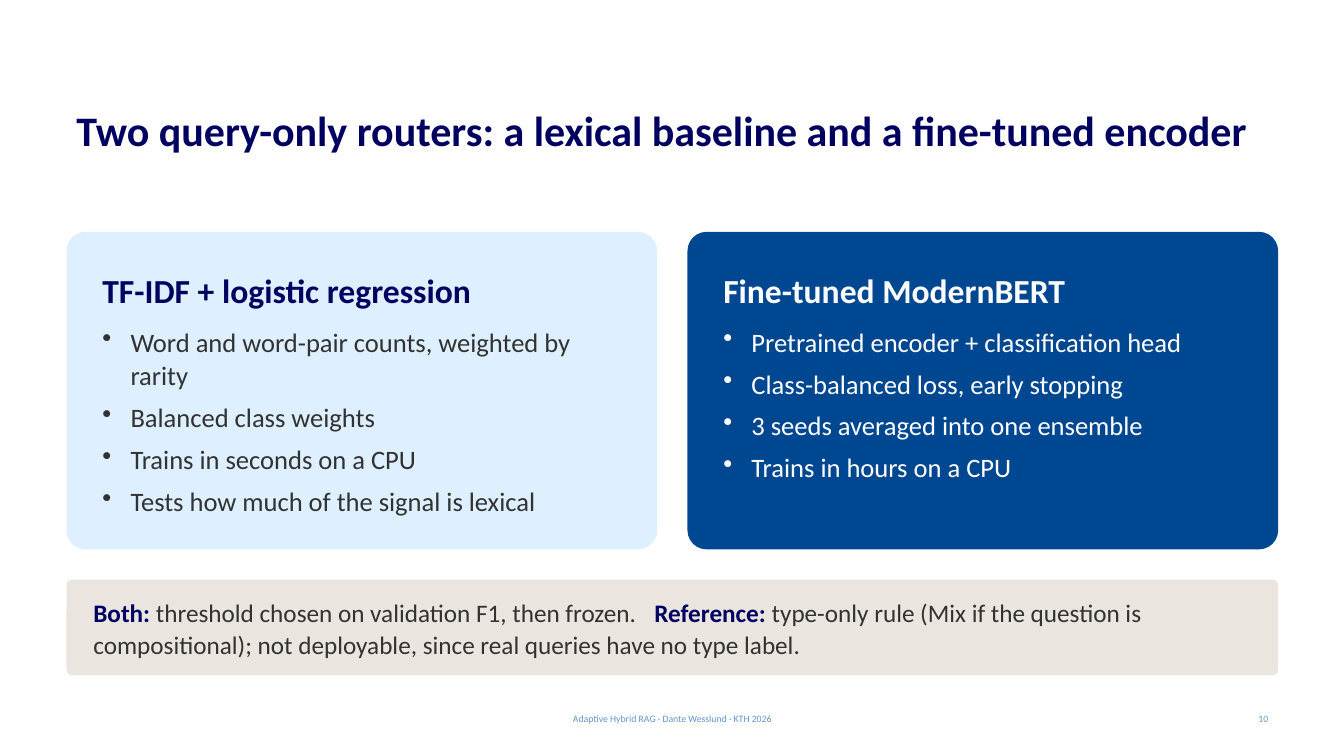
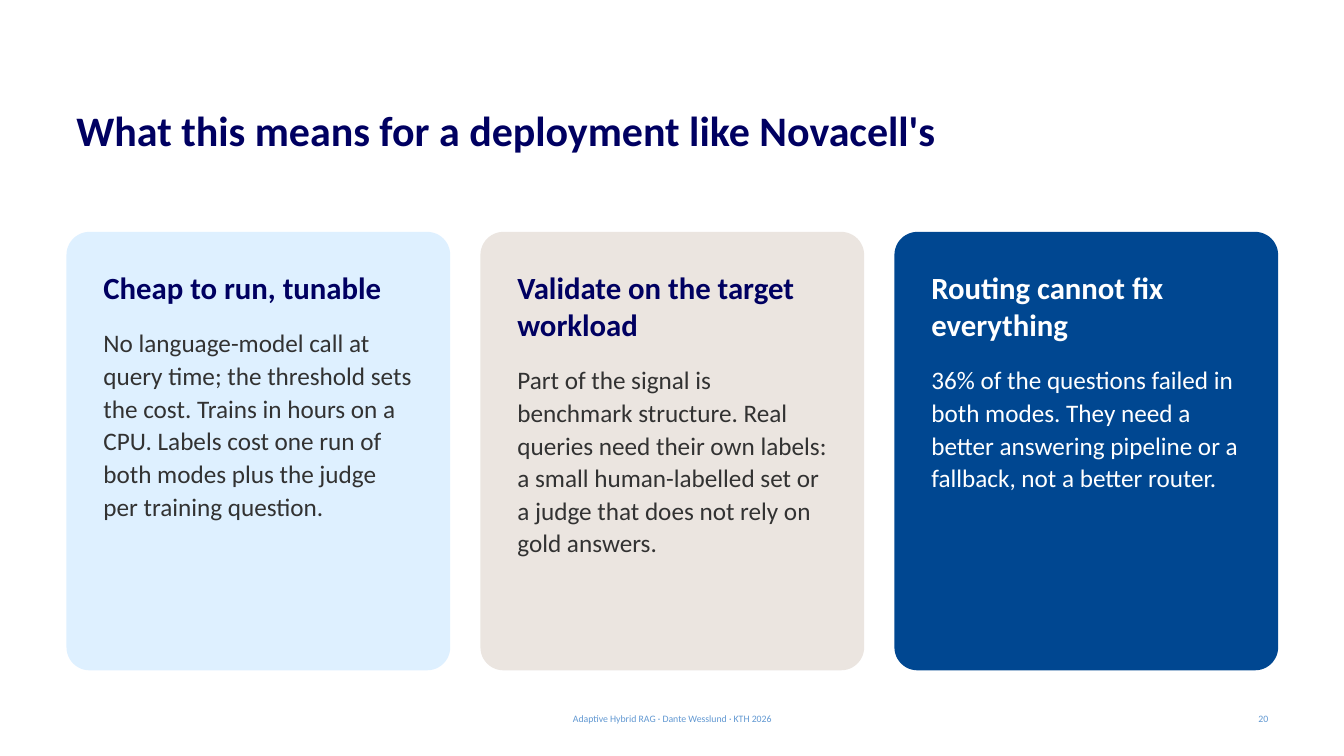
from lxml import etree
from pptx import Presentation
from pptx.dml.color import RGBColor
from pptx.enum import shapes, text
from pptx.oxml import ns
from pptx.util import Pt

NAVY = RGBColor(0x00, 0x00, 0x61)
BLUE = RGBColor(0x00, 0x47, 0x91)
MID_BLUE = RGBColor(0x61, 0x98, 0xD2)
PALE_BLUE = RGBColor(0xDE, 0xF0, 0xFF)
SAND = RGBColor(0xEB, 0xE5, 0xE0)
INK = RGBColor(0x32, 0x32, 0x32)
WHITE = RGBColor(0xFF, 0xFF, 0xFF)
FONT = "Calibri"

SLIDE_W, SLIDE_H = 960, 540
LEFT, WIDTH, GAP = 47.5, 865.5, 21.6
CARD_TOP = 165.6
CARD_INSET = 21.6
BULLET_INDENT = 20.16
FOOTER = "Adaptive Hybrid RAG · Dante Wesslund · KTH 2026"

ROUTERS = [
    (PALE_BLUE, "TF-IDF + logistic regression", [
        "Word and word-pair counts, weighted by rarity",
        "Balanced class weights",
        "Trains in seconds on a CPU",
        "Tests how much of the signal is lexical",
    ]),
    (BLUE, "Fine-tuned ModernBERT", [
        "Pretrained encoder + classification head",
        "Class-balanced loss, early stopping",
        "3 seeds averaged into one ensemble",
        "Trains in hours on a CPU",
    ]),
]
ROUTER_NOTE = [
    ("Both: ", True),
    ("threshold chosen on validation F1, then frozen.\t", False),
    ("Reference: ", True),
    ("type-only rule (Mix if the question is compositional); not deployable, "
     "since real queries have no type label.", False),
]
LESSONS = [
    (PALE_BLUE, "Cheap to run, tunable", [
        "No language-model call at query time; the threshold sets the cost. "
        "Trains in hours on a CPU. Labels cost one run of both modes plus "
        "the judge per training question."]),
    (SAND, "Validate on the target workload", [
        "Part of the signal is benchmark structure. Real queries need their "
        "own labels: a small human-labelled set or a judge that does not "
        "rely on gold answers."]),
    (BLUE, "Routing cannot fix everything", [
        "36% of the questions failed in both modes. They need a better "
        "answering pipeline or a fallback, not a better router."]),
]


def add_run(paragraph, content, *, size, color, bold=False):
    run = paragraph.add_run()
    run.text = content
    run.font.name = FONT
    run.font.size = Pt(size)
    run.font.bold = bold
    run.font.color.rgb = color


def add_paragraph(frame, content="", *, size=18, color=INK, bold=False,
                  align=text.PP_ALIGN.LEFT, line=1.0, after=0,
                  bullet=False, tab=None):
    """Fill the frame's empty first paragraph, or append another one."""
    first = frame.paragraphs[0]
    paragraph = frame.add_paragraph() if first.runs else first
    props = paragraph._p.get_or_add_pPr()
    if bullet:
        props.set("marL", str(Pt(BULLET_INDENT)))
        props.set("indent", str(-Pt(BULLET_INDENT)))
        etree.SubElement(props, ns.qn("a:buChar"), char="•")
    if tab:
        tabs = etree.SubElement(props, ns.qn("a:tabLst"))
        etree.SubElement(tabs, ns.qn("a:tab"), pos=str(Pt(tab)), algn="l")
    paragraph.alignment = align
    paragraph.line_spacing = line
    paragraph.space_after = Pt(after)
    if content:
        add_run(paragraph, content, size=size, color=color, bold=bold)
    return paragraph


def set_frame(frame, insets, anchor):
    frame.word_wrap = True
    frame.vertical_anchor = anchor
    (frame.margin_left, frame.margin_top,
     frame.margin_right, frame.margin_bottom) = map(Pt, insets)


def add_label(slide, box, content, *, insets=(7.2, 3.6, 7.2, 3.6),
              anchor=text.MSO_ANCHOR.MIDDLE, **style):
    frame = slide.shapes.add_textbox(*map(Pt, box)).text_frame
    set_frame(frame, insets, anchor)
    add_paragraph(frame, content, **style)


def add_panel(slide, box, fill, inset, anchor=text.MSO_ANCHOR.TOP):
    """Draw a rounded panel and return its text frame."""
    panel = slide.shapes.add_shape(
        shapes.MSO_SHAPE.ROUNDED_RECTANGLE, *map(Pt, box))
    panel.adjustments[0] = 0.06
    panel.shadow.inherit = False
    panel.fill.solid()
    panel.fill.fore_color.rgb = fill
    panel.line.fill.background()
    set_frame(panel.text_frame, (inset,) * 4, anchor)
    return panel.text_frame


def add_cards(slide, box, cards, heading, body):
    """Spread cards evenly over the box; heading and body are text formats."""
    left, top, width, height = box
    card_w = (width - GAP * (len(cards) - 1)) / len(cards)
    for i, (fill, title, lines) in enumerate(cards):
        dark = fill == BLUE
        card_box = (left + i * (card_w + GAP), top, card_w, height)
        frame = add_panel(slide, card_box, fill, CARD_INSET)
        add_paragraph(frame, title, bold=True,
                      color=WHITE if dark else NAVY, **heading)
        for line in lines:
            add_paragraph(frame, line, color=WHITE if dark else INK, **body)


def add_note_band(slide, box, parts):
    frame = add_panel(slide, box, SAND, 18, text.MSO_ANCHOR.MIDDLE)
    paragraph = add_paragraph(frame, line=1.05, after=6, tab=400.7)
    for content, strong in parts:
        add_run(paragraph, content, size=18, bold=strong,
                color=NAVY if strong else INK)


def add_base_slide(prs, title, number):
    """Add a slide with the shared title, footer and page number."""
    slide = prs.slides.add_slide(prs.slide_layouts[6])
    add_label(slide, (LEFT, 68.4, WIDTH, 75.6), title,
              insets=(7.2, 8.64, 7.2, 3.6), anchor=text.MSO_ANCHOR.TOP,
              size=30, color=NAVY, bold=True, line=0.95)
    small = dict(size=7, color=MID_BLUE)
    add_label(slide, (318.2, 509.8, 324, 7.6), FOOTER,
              align=text.PP_ALIGN.CENTER, **small)
    add_label(slide, (LEFT + WIDTH - 216, 509.8, 216, 7.6), str(number),
              align=text.PP_ALIGN.RIGHT, **small)
    return slide


def build_routers_slide(prs):
    slide = add_base_slide(
        prs, "Two query-only routers: a lexical baseline and a "
        "fine-tuned encoder", 10)
    add_cards(slide, (LEFT, CARD_TOP, WIDTH, 226.8), ROUTERS,
              heading=dict(size=24, line=1.05, after=10),
              body=dict(size=19, line=1.05, after=6, bullet=True))
    add_note_band(slide, (LEFT, 414, WIDTH, 68.4), ROUTER_NOTE)


def build_lessons_slide(prs):
    slide = add_base_slide(
        prs, "What this means for a deployment like Novacell's", 20)
    add_cards(slide, (LEFT, CARD_TOP, WIDTH, 313.2), LESSONS,
              heading=dict(size=22, after=14),
              body=dict(size=18, line=1.08, after=6))


def main():
    prs = Presentation()
    prs.slide_width, prs.slide_height = Pt(SLIDE_W), Pt(SLIDE_H)
    build_routers_slide(prs)
    build_lessons_slide(prs)
    prs.save("out.pptx")


if __name__ == "__main__":
    main()
